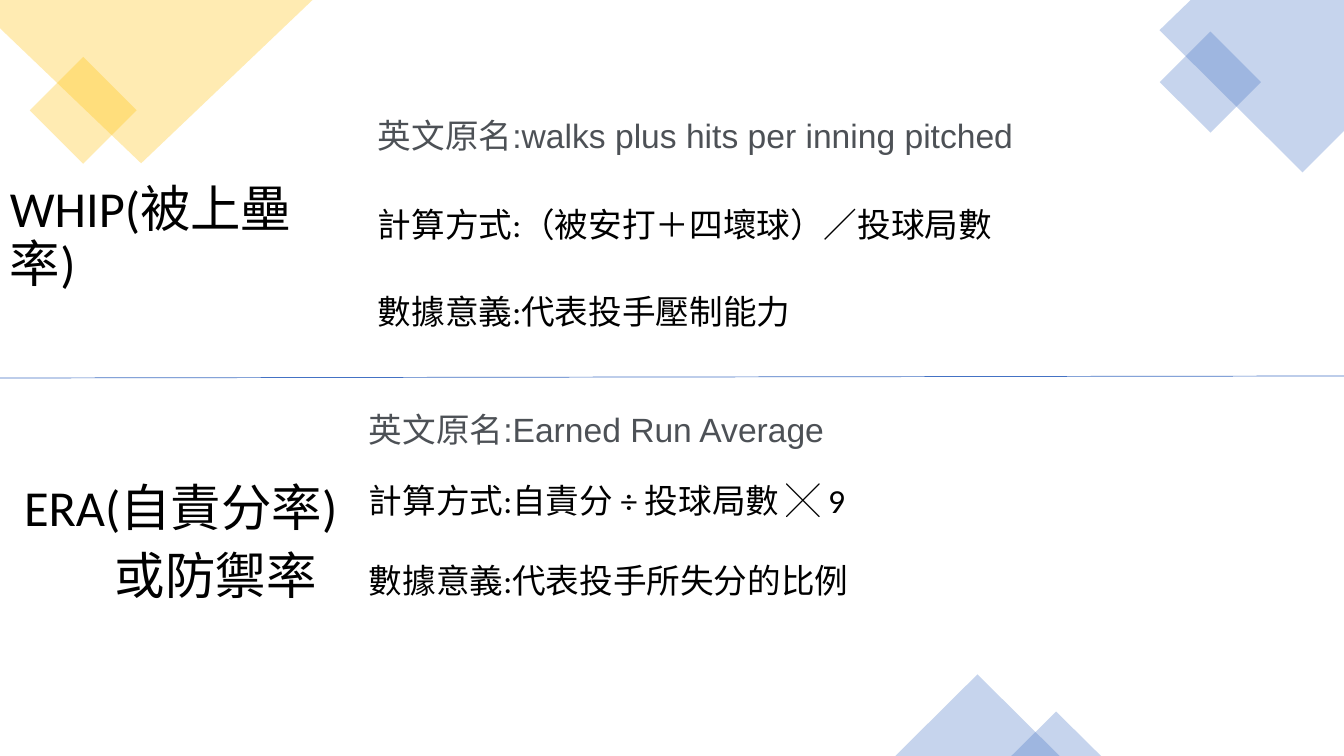
from pptx import Presentation
from pptx import util as u
from pptx.dml.color import RGBColor
from pptx.enum import shapes, text
from pptx.oxml import xmlchemy as x

PX = 9144  # EMU in one px, 100 px to the inch
YELLOW, BLUE, BLACK, GREY = "FFC000", "4472C4", "000000", "4D5156"
SHAPE = shapes.MSO_SHAPE


def px(*lengths):
    return [u.Emu(n * PX) for n in lengths]


def rgb(value):
    return RGBColor.from_string(value)


def tint(sp, color):
    """Fill a shape at 30 % opacity, with neither outline nor shadow."""
    sp.shadow.inherit = False
    sp.line.fill.background()
    sp.fill.solid()
    sp.fill.fore_color.rgb = rgb(color)
    clr = sp.fill._xPr.find(".//" + x.qn("a:srgbClr"))
    clr.append(x.OxmlElement("a:alpha"))
    clr[-1].set("val", "30000")


def add_preset(s, kind, box, color, rotation=0):
    sp = s.shapes.add_shape(kind, *px(*box))
    sp.rotation = rotation
    tint(sp, color)


def add_polygon(s, points, color):
    builder = s.shapes.build_freeform(*points[0], scale=float(PX))
    builder.add_line_segments(points[1:], close=True)
    tint(builder.convert_to_shape(), color)


def add_label(s, box, words, size=24, font="Calibri", color=BLACK,
              spacing=None, anchor=text.MSO_ANCHOR.TOP):
    tf = s.shapes.add_textbox(*px(*box)).text_frame
    tf.word_wrap = True
    tf.vertical_anchor = anchor
    p = tf.paragraphs[0]
    p.line_spacing = spacing
    r = p.add_run()
    r.text = words
    r.font.size = u.Pt(size)
    r.font.name = font
    r.font.color.rgb = rgb(color)


def add_divider(s, start, end):
    line = s.shapes.add_connector(shapes.MSO_CONNECTOR.STRAIGHT, *px(*start, *end))
    line.line.color.rgb = rgb(BLUE)
    line.line.width = u.Pt(0.5)
    line._element.spPr.append(x.OxmlElement("a:effectLst"))


def add_details(s, left, tops, name, formula, meaning):
    """Stack the English name, formula and meaning of one statistic."""
    add_label(s, (left, tops[0], 682, 50), name, font="Arial", color=GREY)
    add_label(s, (left, tops[1], 673, 50), formula)
    add_label(s, (left, tops[2], 636, 50), meaning)


def add_corners(s):
    add_preset(s, SHAPE.RECTANGLE, (45, 72, 75, 75), YELLOW, 45)
    add_polygon(s, [(0, 0), (310, 0), (140, 162), (0, 28)], YELLOW)
    add_polygon(s, [(1181, 0), (1333, 0), (1333, 130), (1292, 171), (1150, 30)], BLUE)
    add_preset(s, SHAPE.RECTANGLE, (1165, 46, 71, 71), BLUE, 45)
    add_preset(s, SHAPE.ISOSCELES_TRIANGLE, (888, 669, 163, 81), BLUE)
    add_preset(s, SHAPE.ISOSCELES_TRIANGLE, (1003, 706, 89, 44), BLUE)


def main():
    prs = Presentation()
    prs.slide_width, prs.slide_height = px(1333, 750)
    s = prs.slides.add_slide(prs.slide_layouts[6])

    add_corners(s)
    add_label(s, (0, -10, 356, 494), "WHIP(被上壘率)", 36, spacing=0.9,
              anchor=text.MSO_ANCHOR.MIDDLE)
    add_details(s, 365, (109, 197, 284),
                "英文原名:walks plus hits per inning pitched",
                "計算方式:（被安打＋四壞球）／投球局數",
                "數據意義:代表投手壓制能力")
    add_divider(s, (0, 375), (1333, 373))
    add_label(s, (14, 474, 388, 65), "ERA(自責分率)", 36, spacing=0.9)
    add_label(s, (104, 535, 231, 71), "或防禦率", 36)
    add_details(s, 356, (401, 471, 551),
                "英文原名:Earned Run Average",
                "計算方式:自責分 ÷ 投球局數 ╳ 9",
                "數據意義:代表投手所失分的比例")

    prs.save("out.pptx")


if __name__ == "__main__":
    main()
